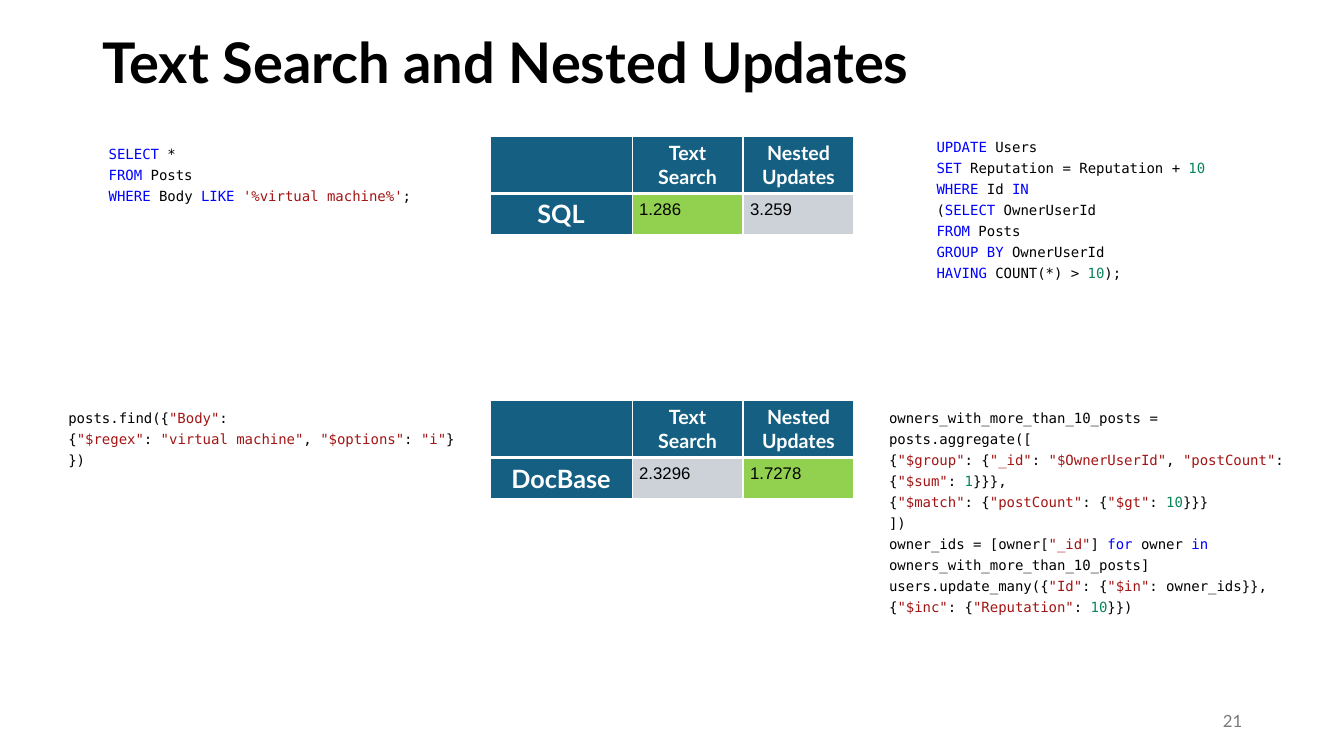
"""Build a slide that compares text search and nested updates in two databases."""
from lxml import etree
from pptx import Presentation
from pptx.dml.color import RGBColor
from pptx.enum.text import MSO_ANCHOR, PP_ALIGN
from pptx.oxml.ns import qn
from pptx.util import Inches, Pt

MID, TOP = MSO_ANCHOR.MIDDLE, MSO_ANCHOR.TOP
LEFT, CENTER, RIGHT = PP_ALIGN.LEFT, PP_ALIGN.CENTER, PP_ALIGN.RIGHT

BLACK = RGBColor(0, 0, 0)
WHITE = RGBColor(255, 255, 255)
GRAY = RGBColor(0x79, 0x79, 0x79)
TEAL = RGBColor(0x15, 0x60, 0x82)
GREEN = RGBColor(0x92, 0xD0, 0x50)
PALE = RGBColor(0xCC, 0xD2, 0xD8)
BLUE = RGBColor(0, 0, 255)
RED = RGBColor(0xA3, 0x15, 0x15)
JADE = RGBColor(0x09, 0x86, 0x58)

HEAD, BODY, MONO = "Lato", "Arial", "DejaVu Sans Mono"

TITLE = "Text Search and Nested Updates"
PAGE = "21"
TASKS = ["", "Text Search", "Nested Updates"]
TIMES = [("SQL", "1.286", "3.259"), ("DocBase", "2.3296", "1.7278")]
WORDS = {"SELECT", "FROM", "WHERE", "LIKE", "UPDATE", "SET", "IN",
         "GROUP BY", "HAVING", "for", "in"}

FIND = [
    'posts.find({|"Body"|:',
    '{|"$regex"|: |"virtual machine"|, |"$options"|: |"i"|}',
    '})',
]
SELECT = [
    "SELECT| *",
    "FROM| Posts",
    "WHERE| Body |LIKE |'%virtual machine%'|;",
]
UPDATE = [
    "UPDATE| Users",
    "SET| Reputation = Reputation + |10",
    "WHERE| Id |IN",
    "(|SELECT |OwnerUserId",
    "FROM| Posts",
    "GROUP BY |OwnerUserId",
    "HAVING| COUNT(*) > |10|);",
]
GROUP = [
    'owners_with_more_than_10_posts =',
    'posts.aggregate([',
    '{|"$group"|: {|"_id"|: |"$OwnerUserId"|, |"postCount"|: {|"$sum"|: |1|}}},',
    '{|"$match"|: {|"postCount"|: {|"$gt"|: |10|}}}',
    '])',
    'owner_ids = [owner[|"_id"|] |for| owner |in| owners_with_more_than_10_posts]',
    'users.update_many({|"Id"|: {|"$in"|: owner_ids}}, {|"$inc"|: {|"Reputation"|: |10|}})',
]

WIDE, HIGH = 13.33, 7.5
ROWS = [1.35, 3.97]
COLS = [1.41, 1.1, 1.1]
TALL = [0.57, 0.41]
GRID = 4.86
PAD = 0.07
CODE = [
    (FIND, 0.58, ROWS[1], 4.1, 0.71),
    (SELECT, 0.98, ROWS[0], 3.24, 0.71),
    (UPDATE, 9.19, 1.28, 2.95, 1.98),
    (GROUP, 8.72, ROWS[1], 4.4, 2.19),
]


def add_run(para, text, face, size, color, bold=False):
    run = para.add_run()
    run.text = text
    font = run.font
    font.name, font.size, font.bold = face, Pt(size), bold
    font.color.rgb = color


def add_box(slide, x, y, w, h, anchor=TOP):
    box = slide.shapes.add_textbox(Inches(x), Inches(y), Inches(w), Inches(h))
    frame = box.text_frame
    frame.word_wrap = True
    frame.vertical_anchor = anchor
    return frame


def pick(part):
    if part.strip() in WORDS:
        return BLUE
    if part.isdigit():
        return JADE
    return RED if part[0] in "\"'" else BLACK


def add_code(slide, lines, x, y, w, h):
    frame = add_box(slide, x, y, w, h)
    for i, line in enumerate(lines):
        para = frame.add_paragraph() if i else frame.paragraphs[0]
        para.line_spacing = Pt(15)
        for part in line.split("|"):
            add_run(para, part, MONO, 10, pick(part))


def add_edges(cell, row):
    props = cell._tc.get_or_add_tcPr()
    thick = "lnT" if row else "lnB"
    for i, side in enumerate(("lnL", "lnR", "lnT", "lnB")):
        line = etree.Element(qn("a:" + side), w=str(Pt(3 if side == thick else 1)))
        fill = etree.SubElement(line, qn("a:solidFill"))
        etree.SubElement(fill, qn("a:srgbClr"), val=str(WHITE))
        props.insert(i, line)


def add_times(slide, y, times):
    best = min(times[1:], key=float)
    shape = slide.shapes.add_table(2, 3, Inches(GRID), Inches(y),
                                   Inches(sum(COLS)), Inches(sum(TALL)))
    table = shape.table
    table.horz_banding = False
    for col, w in zip(table.columns, COLS):
        col.width = Inches(w)
    for row, h in zip(table.rows, TALL):
        row.height = Inches(h)
    for r, texts in enumerate((TASKS, times)):
        for c, text in enumerate(texts):
            cell = table.cell(r, c)
            para = cell.text_frame.paragraphs[0]
            cell.fill.solid()
            if r and c:
                cell.fill.fore_color.rgb = GREEN if text == best else PALE
                cell.margin_left = cell.margin_right = Inches(PAD)
                cell.margin_top = cell.margin_bottom = Inches(PAD)
                para.alignment = LEFT
                add_run(para, text, BODY, 12, BLACK)
            else:
                cell.fill.fore_color.rgb = TEAL
                cell.vertical_anchor = MID
                para.alignment = CENTER
                if text:
                    add_run(para, text, HEAD, 18 if r else 14, WHITE, True)
            add_edges(cell, r)


def main():
    deck = Presentation()
    deck.slide_width, deck.slide_height = Inches(WIDE), Inches(HIGH)
    slide = deck.slides.add_slide(deck.slide_layouts[6])

    para = add_box(slide, 0.92, 0.24, 11.5, 0.82, MID).paragraphs[0]
    para.line_spacing = 0.9
    add_run(para, TITLE, HEAD, 40, BLACK, True)

    para = add_box(slide, 9.42, 6.95, 3, 0.4, MID).paragraphs[0]
    para.alignment = RIGHT
    para.space_after = Pt(6)
    add_run(para, PAGE, HEAD, 12, GRAY)

    for y, times in zip(ROWS, TIMES):
        add_times(slide, y, times)
    for block in CODE:
        add_code(slide, *block)
    deck.save("out.pptx")


if __name__ == "__main__":
    main()
